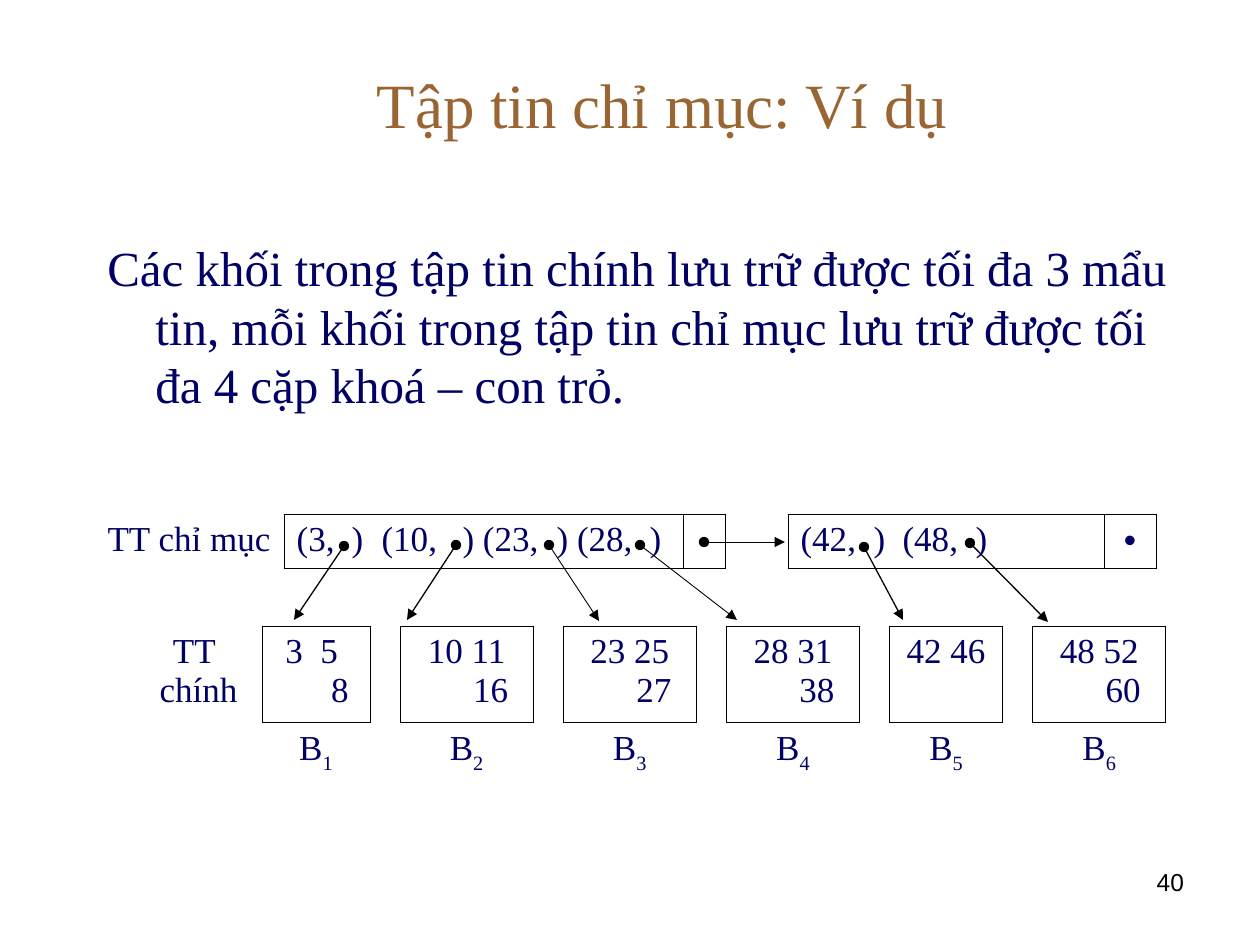
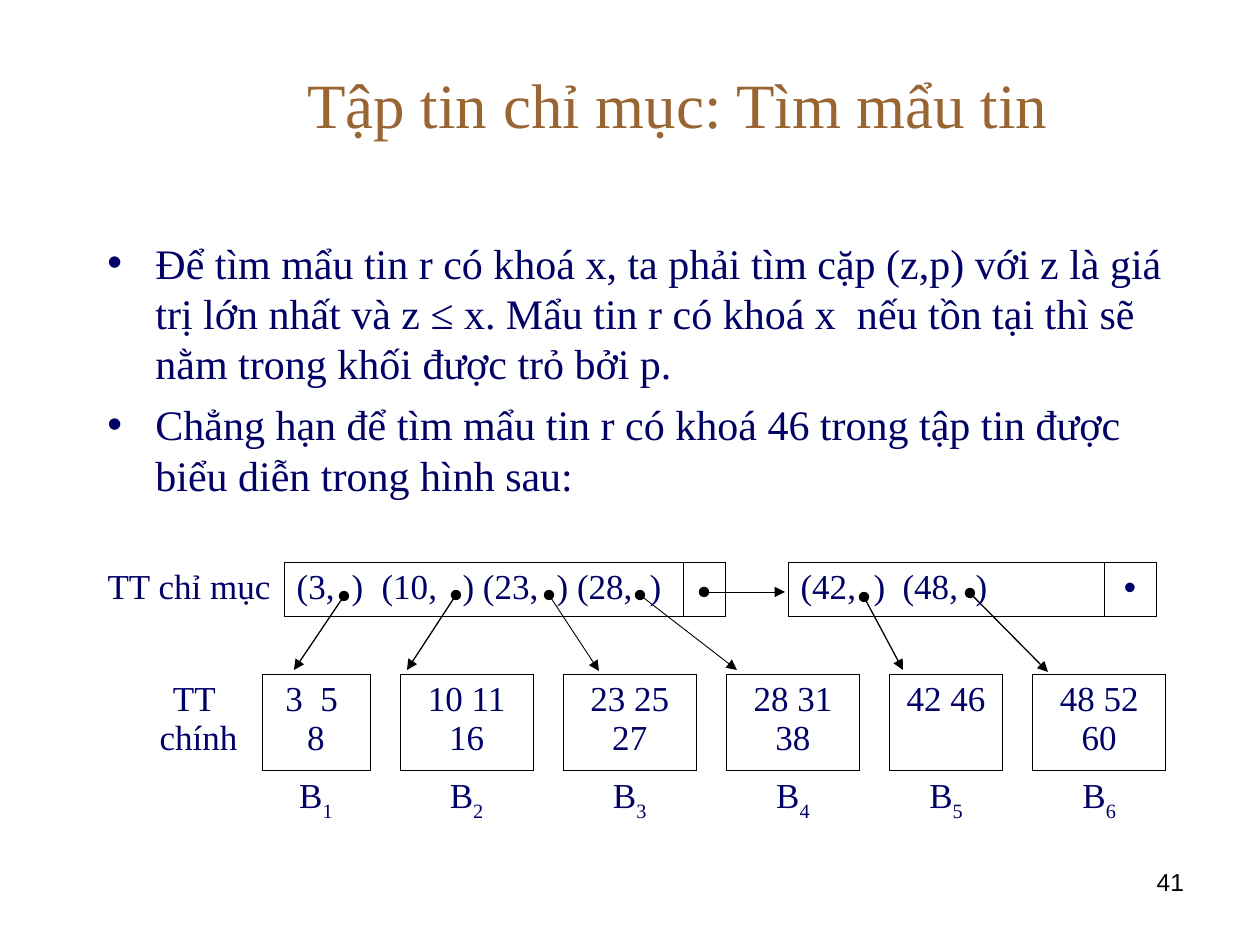
from dataclasses import dataclass

from lxml.etree import SubElement
from pptx import Presentation
from pptx.dml.color import RGBColor
from pptx.enum.shapes import MSO_CONNECTOR
from pptx.enum.text import MSO_ANCHOR, PP_ALIGN
from pptx.oxml import parse_xml
from pptx.oxml.ns import nsdecls, qn
from pptx.util import Emu, Pt

EMU_PER_PX = 914400 / 126


@dataclass(frozen=True)
class Theme:
    title_color: str = "996633"
    text_color: str = "000066"
    line_color: str = "000000"
    serif: str = "Times New Roman"
    sans: str = "Arial"
    title_size: int = 36
    diagram_size: int = 20
    number_size: int = 14
    border_width: float = 0.45


THEME = Theme()


@dataclass(frozen=True)
class Pointer:
    start: tuple[int, int]
    end: tuple[int, int]
    width: float


@dataclass(frozen=True)
class IndexCell:
    text: str
    width: int
    boxed: bool = True
    tabs: tuple[int, ...] = ()
    align: PP_ALIGN = PP_ALIGN.LEFT
    font: str = THEME.serif


@dataclass(frozen=True)
class Block:
    keys: str
    width: int = 133


@dataclass(frozen=True)
class Page:
    title: str
    title_right_inset: int
    paragraphs: tuple[str, ...]
    body_height: int
    body_size: int
    bullet: str
    number: str
    table_shift: int
    pointer_shift: int
    block_hanging: int


HANGING = 48
INDEX_LEFT, INDEX_TOP, INDEX_HEIGHT = 95, 514, 54
BLOCKS_LEFT, BLOCKS_TOP, BLOCK_GAP = 135, 626, 30
BLOCK_LABEL_WIDTH = 127
BLOCK_ROWS = (42, 84)

INDEX_CELLS = (
    IndexCell("TT chỉ mục", 189, boxed=False),
    IndexCell("(3,\t)\t(10,\t) (23,\t) (28,\t)", 399, tabs=(55, 85, 166, 260, 353)),
    IndexCell("", 42),
    IndexCell("", 63, boxed=False),
    IndexCell("(42,\t)\t(48,\t)", 316, tabs=(73, 102, 175)),
    IndexCell("•", 52, align=PP_ALIGN.CENTER, font=THEME.sans),
)

BLOCKS = (
    Block("3  5  8", 108),
    Block("10 11 16"),
    Block("23 25 27"),
    Block("28 31 38"),
    Block("42 46", 113),
    Block("48 52 60"),
)

POINTERS = (
    Pointer((344, 546), (294, 620), 0.75),
    Pointer((456, 545), (407, 620), 0.75),
    Pointer((549, 545), (599, 621), 0.5),
    Pointer((864, 547), (903, 620), 0.75),
    Pointer((970, 543), (1048, 622), 0.75),
    Pointer((640, 545), (737, 620), 0.5),
    Pointer((704, 542), (785, 542), 0.5),
)

PAGES = (
    Page(
        title="Tập tin chỉ mục: Ví dụ",
        title_right_inset=44,
        paragraphs=(
            "Các khối trong tập tin chính lưu trữ được tối đa 3 mẩu tin, mỗi khối "
            "trong tập tin chỉ mục lưu trữ được tối đa 4 cặp khoá – con trỏ.",
        ),
        body_height=217, body_size=28, bullet="", number="40",
        table_shift=0, pointer_shift=0, block_hanging=HANGING,
    ),
    Page(
        title="Tập tin chỉ mục: Tìm mẩu tin",
        title_right_inset=13,
        paragraphs=(
            "Ðể tìm mẩu tin r có khoá x, ta phải tìm cặp (z,p) với z là giá trị lớn "
            "nhất và z ≤ x. Mẩu tin r có khoá x  nếu tồn tại thì sẽ nằm trong khối "
            "được trỏ bởi p.",
            "Chẳng hạn để tìm mẩu tin r có khoá 46 trong tập tin được biểu diễn "
            "trong hình sau:",
        ),
        body_height=278, body_size=24, bullet="•", number="41",
        table_shift=48, pointer_shift=50, block_hanging=0,
    ),
)


def px(length: int) -> Emu:
    return Emu(round(length * EMU_PER_PX))


def write_text(frame, paragraphs, *, size, color=THEME.text_color, font=THEME.serif,
               align=PP_ALIGN.LEFT, hanging=0, bullet="", tabs=(), space_before=0,
               subscript=""):
    """Fill a text frame with one format; subscript follows the last paragraph."""
    for index, text in enumerate(paragraphs):
        paragraph = frame.paragraphs[0] if index == 0 else frame.add_paragraph()
        properties = paragraph._p.get_or_add_pPr()
        if hanging:
            properties.set("marL", str(px(hanging)))
            properties.set("indent", str(-px(hanging)))
        if bullet:
            SubElement(properties, qn("a:buFont"), typeface=THEME.sans)
            SubElement(properties, qn("a:buChar"), char=bullet)
        if tabs:
            stops = SubElement(properties, qn("a:tabLst"))
            for position in tabs:
                SubElement(stops, qn("a:tab"), pos=str(px(position)), algn="l")
        paragraph.alignment = align
        if index:
            paragraph.space_before = Pt(space_before)
        runs = [(text, None)]
        if subscript and index == len(paragraphs) - 1:
            runs.append((subscript, "-30000"))
        for run_text, baseline in runs:
            run = paragraph.add_run()
            run.text = run_text
            run.font.size = Pt(size)
            run.font.name = font
            run.font.color.rgb = RGBColor.from_string(color)
            if baseline:
                run._r.get_or_add_rPr().set("baseline", baseline)


def add_text(slide, left: int, top: int, width: int, height: int, paragraphs, *,
             anchor=MSO_ANCHOR.TOP, right_inset=13, **text_format) -> None:
    box = slide.shapes.add_textbox(px(left), px(top), px(width), px(height))
    frame = box.text_frame
    frame.word_wrap = True
    frame.vertical_anchor = anchor
    frame.margin_right = px(right_inset)
    write_text(frame, paragraphs, **text_format)


def add_plain_table(slide, left: int, top: int, widths, heights):
    frame = slide.shapes.add_table(len(heights), len(widths), px(left), px(top),
                                   px(sum(widths)), px(sum(heights)))
    table = frame.table
    table.first_row = False
    table.horz_banding = False
    for column, width in zip(table.columns, widths):
        column.width = px(width)
    for row, height in zip(table.rows, heights):
        row.height = px(height)
    for cell in table.iter_cells():
        cell.fill.background()
    return table


def outline_cells(table, boxed: set[tuple[int, int]]) -> None:
    """Draw an edge wherever the cell on either side of it is boxed."""
    neighbours = {"lnL": (0, -1), "lnR": (0, 1), "lnT": (-1, 0), "lnB": (1, 0)}
    for row in range(len(table.rows)):
        for column in range(len(table.columns)):
            properties = table.cell(row, column)._tc.get_or_add_tcPr()
            for order, (edge, (down, across)) in enumerate(neighbours.items()):
                drawn = boxed & {(row, column), (row + down, column + across)}
                paint = (f'<a:solidFill><a:srgbClr val="{THEME.line_color}"/></a:solidFill>'
                         if drawn else "<a:noFill/>")
                properties.insert(order, parse_xml(
                    f'<a:{edge} {nsdecls("a")} w="{Pt(THEME.border_width)}">'
                    f"{paint}</a:{edge}>"))


def add_pointer(slide, pointer: Pointer, shift: int) -> None:
    (start_x, start_y), (end_x, end_y) = pointer.start, pointer.end
    connector = slide.shapes.add_connector(
        MSO_CONNECTOR.STRAIGHT, px(start_x), px(start_y + shift),
        px(end_x), px(end_y + shift))
    connector.line.width = Pt(pointer.width)
    connector.line.color.rgb = RGBColor.from_string(THEME.line_color)
    line = connector.line._get_or_add_ln()
    SubElement(line, qn("a:headEnd"), type="oval")
    SubElement(line, qn("a:tailEnd"), type="triangle")
    SubElement(connector._element.spPr, qn("a:effectLst"))


def add_index_file(slide, shift: int) -> None:
    table = add_plain_table(slide, INDEX_LEFT, INDEX_TOP + shift,
                            [cell.width for cell in INDEX_CELLS], [INDEX_HEIGHT])
    for column, cell in enumerate(INDEX_CELLS):
        if cell.text:
            write_text(table.cell(0, column).text_frame, [cell.text],
                       size=THEME.diagram_size, font=cell.font,
                       align=cell.align, tabs=cell.tabs)
    outline_cells(table, {(0, column) for column, cell in enumerate(INDEX_CELLS)
                          if cell.boxed})


def add_main_file(slide, shift: int, hanging: int) -> None:
    widths = [BLOCK_LABEL_WIDTH]
    for block in BLOCKS:
        widths += [block.width, BLOCK_GAP]
    widths.pop()
    table = add_plain_table(slide, BLOCKS_LEFT, BLOCKS_TOP + shift, widths, BLOCK_ROWS)
    centered = dict(size=THEME.diagram_size, align=PP_ALIGN.CENTER, hanging=hanging)
    table.cell(0, 0).merge(table.cell(1, 0))
    write_text(table.cell(0, 0).text_frame, ["TT ", "chính"], **centered)
    for number, block in enumerate(BLOCKS, start=1):
        column = 2 * number - 1
        write_text(table.cell(0, column).text_frame, [block.keys], **centered)
        write_text(table.cell(1, column).text_frame, ["B"], subscript=str(number),
                   **centered)
    outline_cells(table, {(0, column) for column in range(1, len(widths), 2)})


def build_page(presentation, page: Page) -> None:
    slide = presentation.slides.add_slide(presentation.slide_layouts[6])
    add_text(slide, 158, 38, 1040, 130, [page.title], anchor=MSO_ANCHOR.MIDDLE,
             right_inset=page.title_right_inset, size=THEME.title_size,
             color=THEME.title_color, align=PP_ALIGN.CENTER)
    add_text(slide, 95, 231, 1103, page.body_height, page.paragraphs,
             size=page.body_size, hanging=HANGING, bullet=page.bullet, space_before=6)
    for pointer in POINTERS:
        add_pointer(slide, pointer, page.pointer_shift)
    add_index_file(slide, page.table_shift)
    add_main_file(slide, page.table_shift, page.block_hanging)
    add_text(slide, 903, 861, 294, 66, [page.number], size=THEME.number_size,
             color=THEME.line_color, font=THEME.sans, align=PP_ALIGN.RIGHT)


def main() -> None:
    presentation = Presentation()
    presentation.slide_width = px(1260)
    presentation.slide_height = px(945)
    for page in PAGES:
        build_page(presentation, page)
    presentation.save("out.pptx")


if __name__ == "__main__":
    main()
